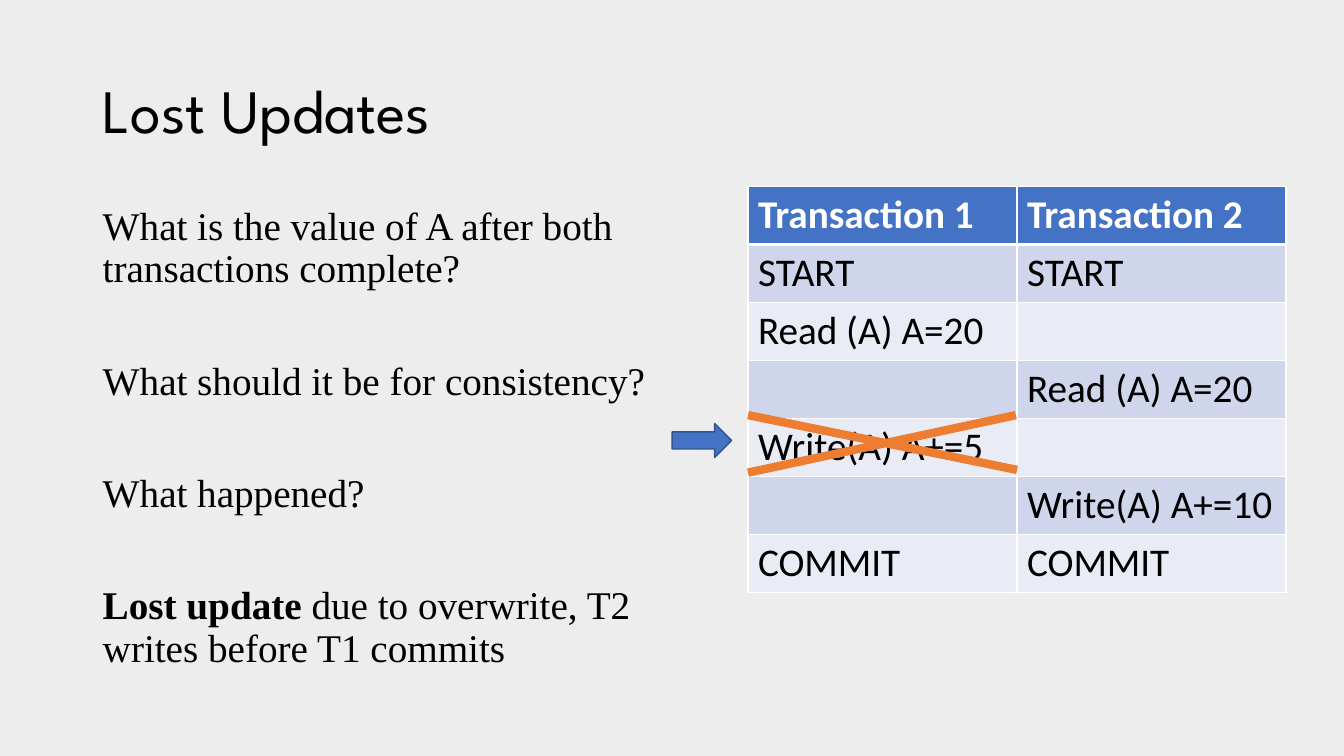
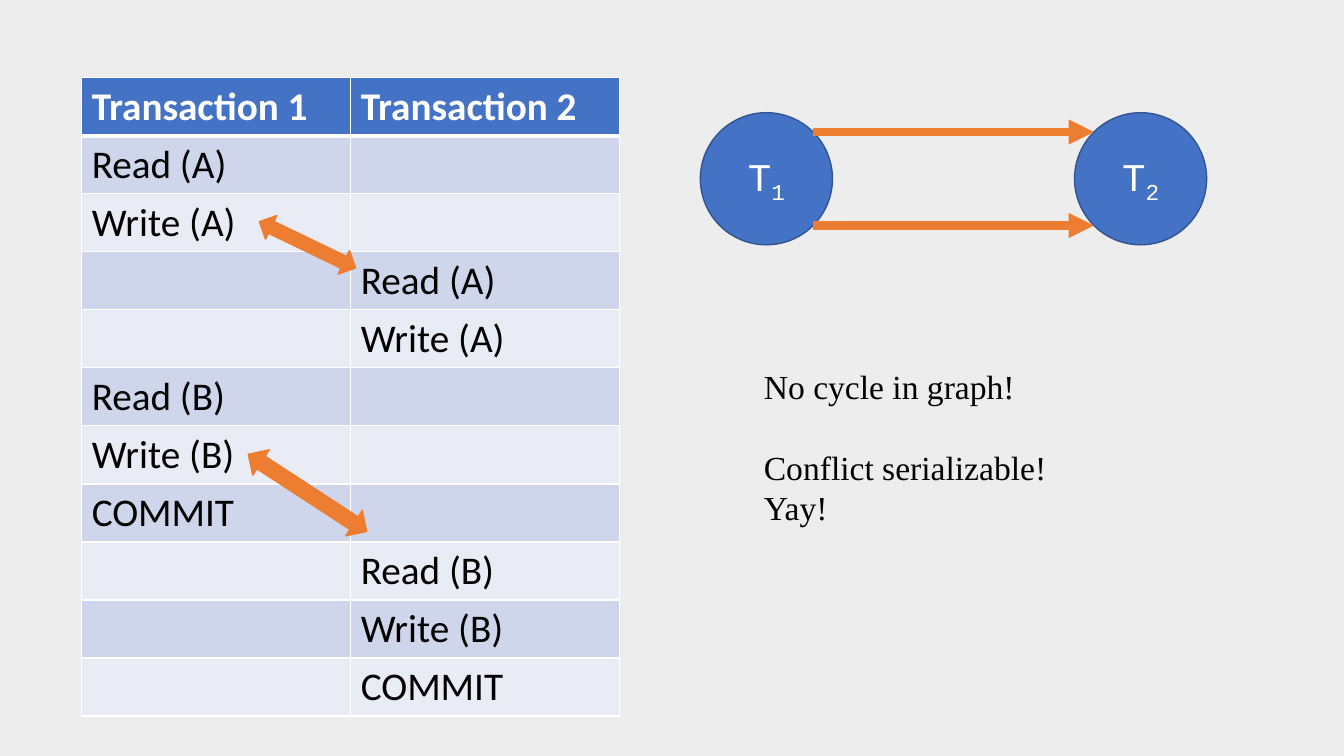
"""Build two slides on lost updates and conflict serializability."""
from dataclasses import dataclass
from typing import Optional

from lxml.etree import SubElement
from pptx import Presentation
from pptx.dml.color import RGBColor
from pptx.enum.shapes import MSO_CONNECTOR, MSO_SHAPE
from pptx.enum.text import MSO_ANCHOR as Anchor, MSO_AUTO_SIZE as AutoSize, PP_ALIGN as Align
from pptx.oxml.ns import qn
from pptx.util import Cm, Pt

COLORS = {
    "background": "EDEDED", "text": "000000", "white": "FFFFFF", "blue": "4472C4",
    "outline": "325491", "orange": "ED7D31", "band_dark": "CFD5EA", "band_light": "E9EBF5",
}
TITLE_FONT, BODY_FONT, TABLE_FONT, NODE_FONT = (
    "League Spartan", "Times New Roman", "Calibri", "Courier New")
COLUMN_WIDTH, ROW_HEIGHT = 6.78, 1.46
NODE_SIZE, NODE_TOP = 3.33, 2.84
DIAGONAL = 0.146 * NODE_SIZE
HEADER = ("Transaction 1", "Transaction 2")


@dataclass(frozen=True)
class Run:
    text: str
    bold: bool = False
    subscript: bool = False


@dataclass(frozen=True)
class Box:
    left: float
    top: float
    width: float
    height: float

    def lengths(self) -> tuple:
        return Cm(self.left), Cm(self.top), Cm(self.width), Cm(self.height)


@dataclass(frozen=True)
class Line:
    start: tuple[float, float]
    end: tuple[float, float]
    arrow: bool = False


@dataclass(frozen=True)
class ConflictArrow:
    center_x: float
    center_y: float
    length: float
    thickness: float
    rotation: float


LOST_UPDATE_ROWS = [
    HEADER,
    ("START", "START"),
    ("Read (A) A=20", ""),
    ("", "Read (A) A=20"),
    ("Write(A) A+=5", ""),
    ("", "Write(A) A+=10"),
    ("COMMIT", "COMMIT"),
]
SCHEDULE_ROWS = [
    HEADER,
    ("Read (A)", ""),
    ("Write (A)", ""),
    ("", "Read (A)"),
    ("", "Write (A)"),
    ("Read (B)", ""),
    ("Write (B)", ""),
    ("COMMIT", ""),
    ("", "Read (B)"),
    ("", "Write (B)"),
    ("", "COMMIT"),
]
QUESTIONS = [
    [Run("What is the value of A after both transactions complete?")],
    [Run("What should it be for consistency?")],
    [Run("What happened?")],
    [Run("Lost update ", bold=True), Run("due to overwrite, T2 writes before T1 commits")],
]
CROSS = [Line((18.85, 10.46), (25.63, 11.84)), Line((25.6, 10.46), (18.85, 11.91))]
CONFLICTS = [
    ConflictArrow(7.75, 6.17, 2.69, 0.66, 25.7),
    ConflictArrow(7.75, 12.42, 3.56, 0.76, 33.1),
]


def color(name: str) -> RGBColor:
    return RGBColor.from_string(COLORS[name])


def write_text(frame, paragraphs: list[list[Run]], *, font: str, size: float,
               fill: str = "text", align: Align = Align.LEFT,
               anchor: Anchor = Anchor.TOP, line_spacing: float = 1.0,
               gap: float = 0) -> None:
    frame.word_wrap = True
    frame.auto_size = AutoSize.NONE
    frame.vertical_anchor = anchor
    for index, runs in enumerate(paragraphs):
        paragraph = frame.add_paragraph() if index else frame.paragraphs[0]
        paragraph.alignment = align
        paragraph.line_spacing = line_spacing
        paragraph.space_before = Pt(gap if index else 0)
        for part in runs:
            run = paragraph.add_run()
            run.text = part.text
            run.font.name = font
            run.font.size = Pt(size)
            run.font.bold = part.bold
            run.font.color.rgb = color(fill)
            if part.subscript:
                run._r.get_or_add_rPr().set("baseline", "-25000")


def add_text_box(slide, box: Box, paragraphs: list[list[Run]], **text_format) -> None:
    shape = slide.shapes.add_textbox(*box.lengths())
    write_text(shape.text_frame, paragraphs, font=BODY_FONT, **text_format)


def add_filled_shape(slide, kind: MSO_SHAPE, box: Box, fill: str, outline: str):
    shape = slide.shapes.add_shape(kind, *box.lengths())
    shape.shadow.inherit = False
    shape.fill.solid()
    shape.fill.fore_color.rgb = color(fill)
    shape.line.color.rgb = color(outline)
    shape.line.width = Pt(1)
    return shape


def add_line(slide, line: Line) -> None:
    points = [Cm(value) for value in (*line.start, *line.end)]
    connector = slide.shapes.add_connector(MSO_CONNECTOR.STRAIGHT, *points)
    connector.line.color.rgb = color("orange")
    connector.line.width = Pt(6)
    properties = connector._element.spPr
    if line.arrow:
        SubElement(properties.find(qn("a:ln")), qn("a:tailEnd"), type="triangle")
    SubElement(properties, qn("a:effectLst"))


def set_borders(cell, top: float, bottom: float) -> None:
    properties = cell._tc.get_or_add_tcPr()
    for side, width in (("L", 1), ("R", 1), ("T", top), ("B", bottom)):
        border = SubElement(properties, qn(f"a:ln{side}"), w=str(Pt(width)))
        fill = SubElement(border, qn("a:solidFill"))
        SubElement(fill, qn("a:srgbClr"), val=COLORS["white"])


def add_schedule(slide, left: float, top: float, rows: list[tuple[str, str]]) -> None:
    box = Box(left, top, COLUMN_WIDTH * len(HEADER), ROW_HEIGHT * len(rows))
    table = slide.shapes.add_table(len(rows), len(HEADER), *box.lengths()).table
    for column in table.columns:
        column.width = Cm(COLUMN_WIDTH)
    for row_index, texts in enumerate(rows):
        table.rows[row_index].height = Cm(ROW_HEIGHT)
        is_header = row_index == 0
        band = "blue" if is_header else ("band_light", "band_dark")[row_index % 2]
        for column_index, text in enumerate(texts):
            cell = table.cell(row_index, column_index)
            set_borders(cell, 3 if row_index == 1 else 1, 3 if is_header else 1)
            cell.fill.solid()
            cell.fill.fore_color.rgb = color(band)
            if text:
                write_cell(cell, text, is_header)


def write_cell(cell, text: str, is_header: bool) -> None:
    paragraph = cell.text_frame.paragraphs[0]
    run = paragraph.add_run()
    run.text = text
    run.font.name = TABLE_FONT
    run.font.size = Pt(28)
    run.font.bold = is_header
    run.font.color.rgb = color("white" if is_header else "text")


def add_node(slide, left: float, number: str) -> None:
    box = Box(left, NODE_TOP, NODE_SIZE, NODE_SIZE)
    node = add_filled_shape(slide, MSO_SHAPE.OVAL, box, "blue", "outline")
    write_text(node.text_frame, [[Run("T"), Run(number, subscript=True)]], font=NODE_FONT,
               size=28, fill="white", align=Align.CENTER, anchor=Anchor.MIDDLE)


def add_conflict(slide, arrow: ConflictArrow) -> None:
    box = Box(arrow.center_x - arrow.length / 2, arrow.center_y - arrow.thickness / 2,
              arrow.length, arrow.thickness)
    shape = add_filled_shape(slide, MSO_SHAPE.LEFT_RIGHT_ARROW, box, "orange", "orange")
    shape.rotation = arrow.rotation


def add_slide(presentation, title: Optional[str] = None):
    slide = presentation.slides.add_slide(presentation.slide_layouts[5 if title else 6])
    if title:
        shape = slide.shapes.title
        shape.left, shape.top, shape.width, shape.height = Box(2.34, 1.02, 29.21, 3.68).lengths()
        write_text(shape.text_frame, [[Run(title)]], font=TITLE_FONT, size=44,
                   anchor=Anchor.MIDDLE, line_spacing=0.9)
    return slide


def build_lost_updates(presentation) -> None:
    slide = add_slide(presentation, "Lost Updates")
    add_text_box(slide, Box(2.34, 5.08, 14.81, 12.09), QUESTIONS,
                 size=28, line_spacing=0.9, gap=50)
    add_schedule(slide, 18.85, 4.7, LOST_UPDATE_ROWS)
    add_filled_shape(slide, MSO_SHAPE.RIGHT_ARROW, Box(16.94, 10.67, 1.5, 0.86),
                     "blue", "outline")
    for line in CROSS:
        add_line(slide, line)


def build_conflict_graph(presentation) -> None:
    slide = add_slide(presentation)
    add_schedule(slide, 2.06, 1.96, SCHEDULE_ROWS)
    first_left, second_left = 17.65, 27.08
    add_node(slide, first_left, "1")
    add_node(slide, second_left, "2")
    for arrow in CONFLICTS:
        add_conflict(slide, arrow)
    for y in (NODE_TOP + DIAGONAL, NODE_TOP + NODE_SIZE - DIAGONAL):
        start = (first_left + NODE_SIZE - DIAGONAL, y)
        add_line(slide, Line(start, (second_left + DIAGONAL, y), arrow=True))
    add_text_box(slide, Box(19, 9.09, 8.81, 3.33),
                 [[Run("No cycle in graph!")], [Run("Conflict serializable! Yay!")]],
                 size=24, gap=29)


def main() -> None:
    presentation = Presentation()
    presentation.slide_width, presentation.slide_height = Cm(33.87), Cm(19.05)
    background = presentation.slide_master.background.fill
    background.solid()
    background.fore_color.rgb = color("background")
    build_lost_updates(presentation)
    build_conflict_graph(presentation)
    presentation.save("out.pptx")


if __name__ == "__main__":
    main()
